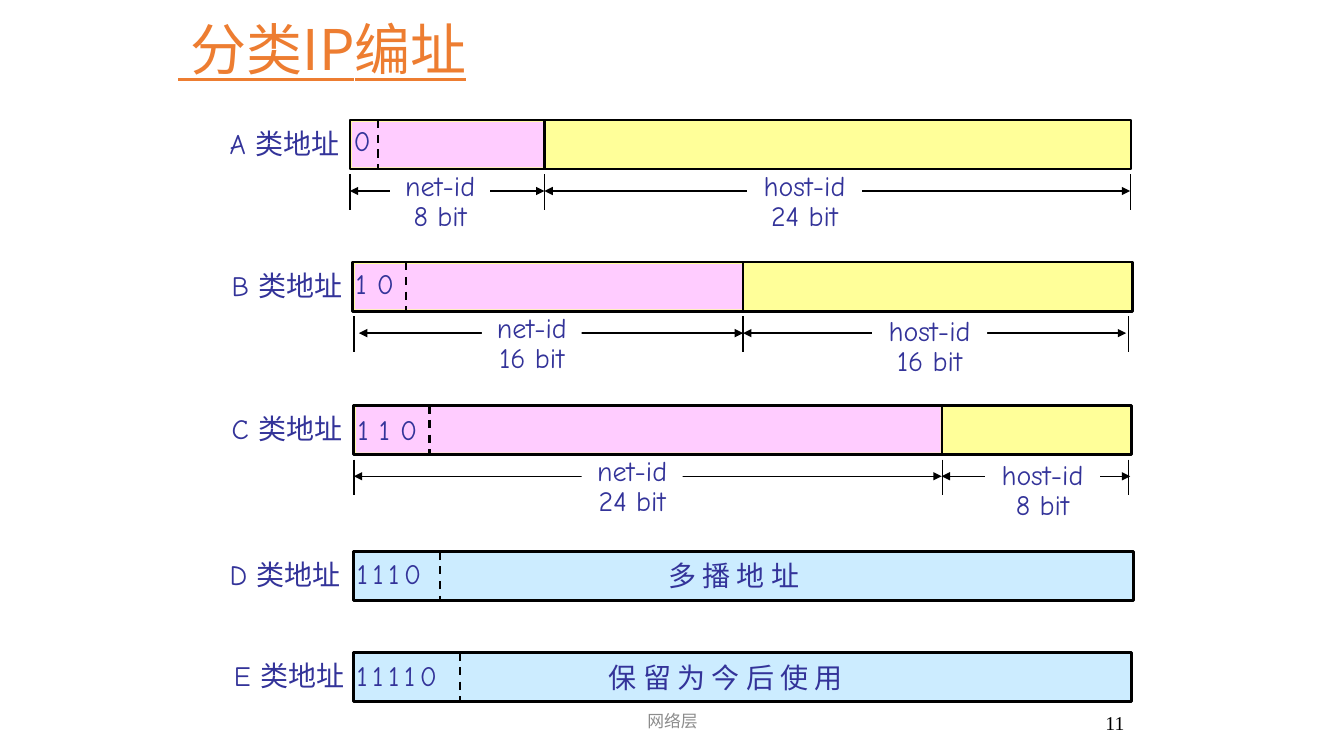
from lxml import etree
from pptx import Presentation
from pptx.dml.color import RGBColor
from pptx.enum.dml import MSO_LINE
from pptx.enum.shapes import MSO_CONNECTOR as CONN, MSO_SHAPE as SHAPE
from pptx.enum.text import MSO_ANCHOR as ANCHOR, PP_ALIGN as ALIGN
from pptx.oxml.ns import qn
from pptx.util import Inches, Pt

CELL = Inches(0.1)  # grid of 133.3 columns by 75 rows
CJK, COMIC = "Noto Sans CJK SC", "Comic Neue"
NAVY, PINK, YELLOW, BLUE = "333399", "FFCCFF", "FFFF99", "CCECFF"
BAR_H = 4.9
rgb = RGBColor.from_string

prs = Presentation()
prs.slide_width, prs.slide_height = Inches(13.33), Inches(7.5)
s = prs.slides.add_slide(prs.slide_layouts[6])


def text(x, y, w, h, words, size=20, font=COMIC, color=NAVY, align=ALIGN.LEFT,
         wrap=True, spacing=None):
    sp = s.shapes.add_textbox(*(int(v * CELL) for v in (x, y, w, h)))
    tf = sp.text_frame
    tf.text = words
    tf.word_wrap = wrap
    for p in tf.paragraphs:
        p.alignment, p.line_spacing = align, spacing
        for r in p.runs:
            r.font.size, r.font.name = Pt(size), font
            r.font.color.rgb = rgb(color)
            etree.SubElement(r.font._element, qn("a:ea"), typeface=CJK)
    return sp


def line(x1, y1, x2, y2, weight=1.0, dashed=False, arrows=False):
    c = s.shapes.add_connector(CONN.STRAIGHT, *(int(v * CELL) for v in (x1, y1, x2, y2)))
    c.line.color.rgb, c.line.width = rgb("000000"), Pt(weight)
    if dashed:
        c.line.dash_style = MSO_LINE.DASH
    if arrows:
        for end in ("a:headEnd", "a:tailEnd"):
            etree.SubElement(c.line._get_or_add_ln(), qn(end), type="triangle")
    etree.SubElement(c._element.spPr, qn("a:effectLst"))


# Title
title = text(16.7, 0.7, 94.1, 8.2, " 分类IP编址", 40, CJK, "ED7D31")
title.text_frame.vertical_anchor = ANCHOR.MIDDLE
title.text_frame.paragraphs[0].runs[0].font.underline = True

# Dimension arrows and field sizes: class top, arrow ends, tick marks,
# then left, top, width and wording of each field
dimensions = [
    (11.9, (34.7, 54, 112.1), (34.7, 54, 112.1),
     [(38.7, 16.6, 9.9, "net-id\n8 bit"), (74.1, 16.6, 11.4, "host-id\n24 bit")]),
    (26, (35.6, 73.7, 111.7), (35.1, 73.7, 111.9),
     [(47.8, 30.7, 9.9, "net-id\n16 bit"), (86.5, 31, 11.4, "host-id\n16 bit")]),
    (40.2, (35.1, 93.4, 112.1), (35.1, 93.5, 111.9),
     [(57.7, 44.9, 10, "net-id\n24 bit"), (97.7, 45.3, 11.4, "host-id\n8 bit")]),
]
for top, ends, ticks, fields in dimensions:
    for start, stop in zip(ends, ends[1:]):
        line(start, top + 7.05, stop, top + 7.05, arrows=True)
    for x, y, w, words in fields:
        label = text(x, y, w, 7, words, align=ALIGN.CENTER, wrap=False, spacing=0.9)
        label.fill.solid()
        label.fill.fore_color.rgb = rgb("FFFFFF")
    for x in ticks:
        line(x, top + 5.4, x, top + 8.9)

# Address bars: name, name left, bar left, top, right, net/host split, prefix end
classes = [
    ("A", 21.8, 34.7, 11.9, 112.2, 54, 37.5),
    ("B", 22, 35, 26, 112.3, 73.7, 40.3),
    ("C", 22, 35.1, 40.2, 112.2, 93.4, 42.6),
    ("D", 21.8, 35.1, 54.7, 112.4, None, 43.6),
    ("E", 22.2, 35.1, 64.7, 112.2, None, 45.6),
]
for name, name_x, left, top, right, split, prefix_end in classes:
    rects = [(left, top, right - left, BAR_H, YELLOW if split else BLUE)]
    if split:
        rects.append((left + 0.2, top + 0.2, split - left - 0.3, BAR_H - 0.4, PINK))
    for x, y, w, h, fill in rects:
        bar = s.shapes.add_shape(SHAPE.RECTANGLE, *(int(v * CELL) for v in (x, y, w, h)))
        bar.shadow.inherit = False
        bar.fill.solid()
        bar.fill.fore_color.rgb = rgb(fill)
        if fill == PINK:
            bar.line.fill.background()
        else:
            bar.line.color.rgb = rgb("000000")
            bar.line.width = Pt(1.5 if name == "A" else 2)
    if split:
        line(split, top, split, top + BAR_H, 1.5)
    line(prefix_end, top, prefix_end, top + BAR_H - 0.1, 1.5, dashed=True)
    text(name_x, top + 0.15, 13.1, 4.3, f"{name} 类地址")

# Prefix bits of classes A to C, one box per digit
for x, y, bits in [(34.1, 11.8, "0"), (34.3, 25.9, "10"), (34.5, 40.4, "110")]:
    for i, bit in enumerate(bits):
        text(x + 2.1 * i, y, 5.3, 4.3, bit)

# Prefix bits and purpose of classes D and E
for y, w, bits, x, purpose_w, purpose in [
    (54.7, 8.8, "1 1 1 0", 65.3, 15.7, "多 播 地 址"),
    (64.8, 10.4, "1 1 1 1 0", 59.4, 26.7, "保 留 为 今 后 使 用"),
]:
    p = text(34.4, y, w, 4.3, "", wrap=False).text_frame.paragraphs[0]
    for ch in bits:
        r = p.add_run()
        r.text = ch
        r.font.name, r.font.color.rgb = COMIC, rgb(NAVY)
        r.font.size = Pt(10 if ch == " " else 20)
    text(x, y + 0.2, purpose_w, 4.3, purpose, wrap=False)

# Footer and page number
footer = text(44.2, 69.5, 45, 4, "网络层", 12, CJK, "8C8C8C", ALIGN.CENTER)
footer.text_frame.vertical_anchor = ANCHOR.MIDDLE
text(107.5, 70, 5, 5, "11", 14, "Times New Roman", "000000", ALIGN.RIGHT)

prs.save("out.pptx")
